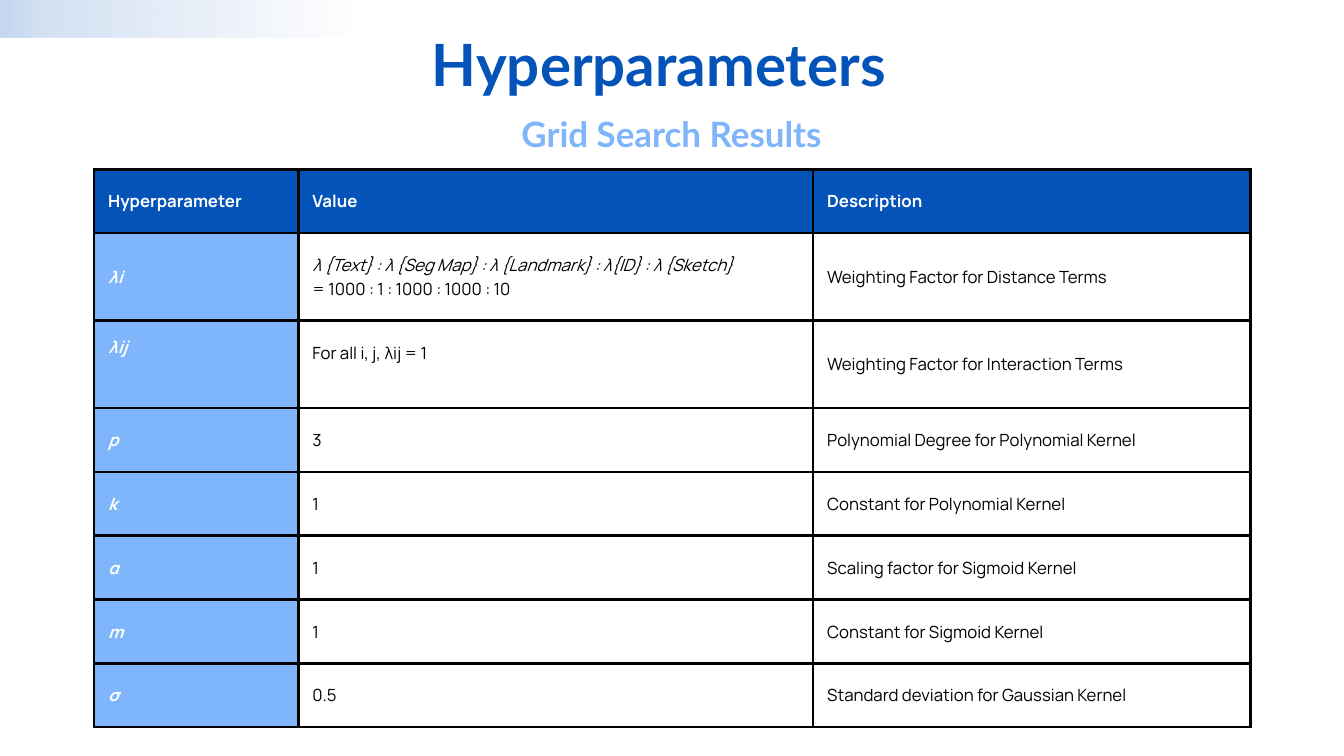
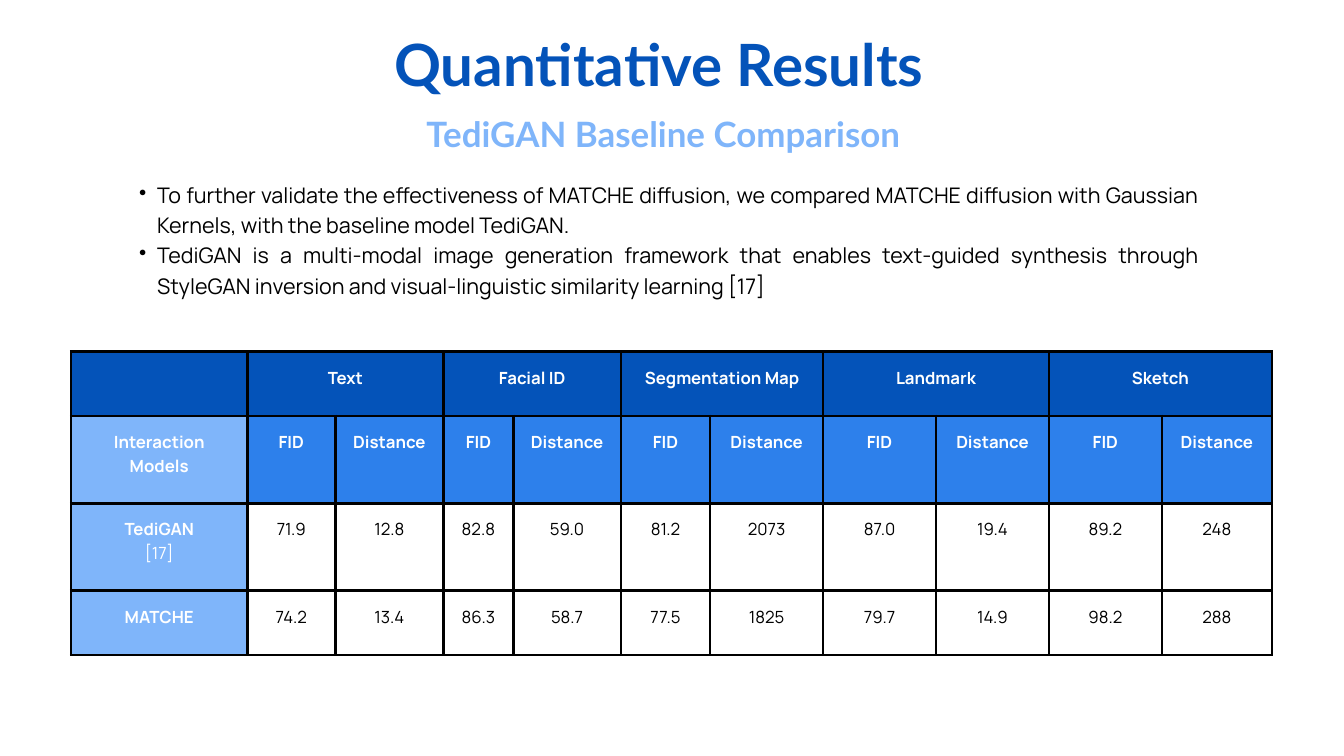
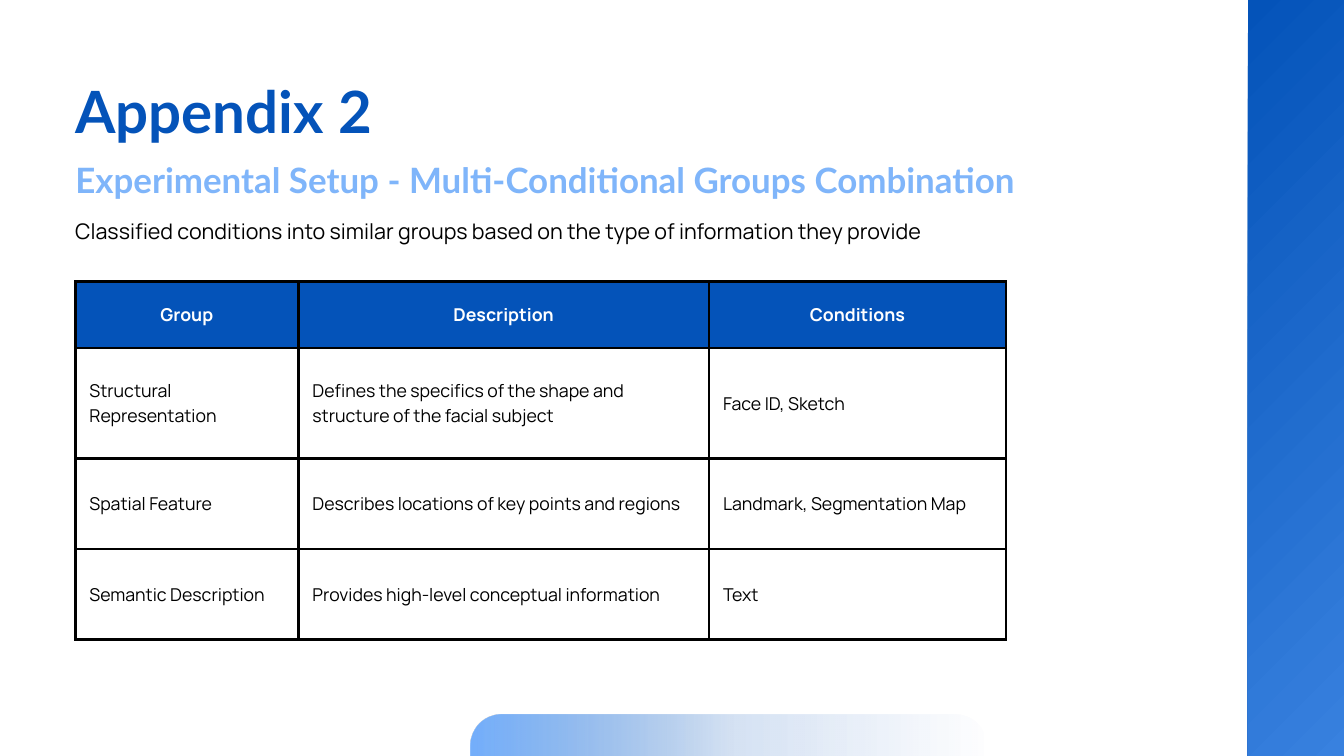
"""Build three slides of tables on hyperparameters, baseline results and condition groups."""
from dataclasses import dataclass

from pptx import Presentation
from pptx.dml.color import RGBColor
from pptx.enum.shapes import MSO_SHAPE as Shape
from pptx.enum.text import MSO_ANCHOR as Anchor, PP_ALIGN as Align
from pptx.oxml import parse_xml
from pptx.oxml.ns import nsdecls, qn
from pptx.util import Inches, Pt


@dataclass(frozen=True)
class Theme:
    primary: str = "0453B9"
    medium: str = "2D80EB"
    soft: str = "7FB5FA"
    white: str = "FFFFFF"
    black: str = "000000"
    heading_font: str = "Lato"
    body_font: str = "Manrope"
    title_size: float = 62.4
    subtitle_size: float = 37.4
    body_size: float = 23
    heading_leading: float = 1.15
    body_leading: float = 1.4
    cell_margin: float = 0.21
    border_width: float = 3


THEME = Theme()
TEXT_STYLES = {
    "title": (THEME.heading_font, THEME.title_size, THEME.primary, True, THEME.heading_leading),
    "subtitle": (THEME.heading_font, THEME.subtitle_size, THEME.soft, True, THEME.heading_leading),
    "body": (THEME.body_font, THEME.body_size, THEME.black, False, THEME.body_leading),
}
CELL_STYLES = {
    "header": (THEME.primary, THEME.white, True),
    "measure": (THEME.medium, THEME.white, True),
    "label": (THEME.soft, THEME.white, True),
    "value": (None, THEME.black, False),
}
HEADER_ROW = ("header", "header")
LABELLED_ROW = ("label", "value")
PLAIN_ROW = ("value", "value")
FADE = [(0, "398DFA", 70), (50, "0151B8", 17), (100, "0151B8", 0)]
SIDEBAR = [(0, THEME.primary, 100), (100, "3881DF", 100)]

SLIDES = [
    {
        "texts": [
            ("title", (3.97, 0.47, 11.67, 1), Align.CENTER, ["Hyperparameters"]),
            ("subtitle", (2.12, 1.7, 15.75, 0.61), Align.CENTER, ["Grid Search Results"]),
        ],
        "bands": [(Shape.ROUNDED_RECTANGLE, (-4.02, 0, 9.3, 0.56), 0.5, FADE, 0)],
        "table": {
            "place": (1.4, 2.52),
            "widths": [3.04, 7.66, 6.51],
            "heights": [0.95, 1.3, 1.3] + [0.95] * 5,
            "size": 18,
            "anchor": Anchor.MIDDLE,
            "aligns": (Align.LEFT, Align.LEFT),
            "styles": [HEADER_ROW] + [LABELLED_ROW] * 7,
            "rows": [
                ["Hyperparameter", "Value", "Description"],
                ["λi",
                 "λ {Text} : λ {Seg Map} : λ {Landmark} : λ{ID} : λ {Sketch}\n"
                 "= 1000 : 1 : 1000 : 1000 : 10",
                 "Weighting Factor for Distance Terms"],
                ["λij", "For all i, j, λij = 1", "Weighting Factor for Interaction Terms"],
                ["p", "3", "Polynomial Degree for Polynomial Kernel"],
                ["k", "1", "Constant for Polynomial Kernel"],
                ["α", "1", "Scaling factor for Sigmoid Kernel"],
                ["m", "1", "Constant for Sigmoid Kernel"],
                ["σ", "0.5", "Standard deviation for Gaussian Kernel"],
            ],
            "line_formats": {(1, 1, 0): {"italic": True},
                             **{(row, 0, 0): {"italic": True} for row in range(1, 8)}},
            "cell_formats": {(2, 0): {"vertical_anchor": Anchor.TOP},
                             (2, 1): {"margin_bottom": Inches(0.56)}},
        },
    },
    {
        "texts": [
            ("title", (3.97, 0.47, 11.67, 1), Align.CENTER, ["Quantitative Results"]),
            ("subtitle", (2, 1.7, 15.75, 0.61), Align.CENTER, ["TediGAN Baseline Comparison"]),
            ("body", (1.8, 2.65, 16.06, 1.75), Align.JUSTIFY, [
                "To further validate the effectiveness of MATCHE diffusion, we compared MATCHE "
                "diffusion with Gaussian Kernels, with the baseline model TediGAN.",
                "TediGAN is a multi-modal image generation framework that enables text-guided "
                "synthesis through StyleGAN inversion and visual-linguistic similarity learning [17]",
            ]),
        ],
        "bands": [],
        "table": {
            "place": (1.06, 5.23),
            "widths": [2.62, 1.31, 1.61, 1.04, 1.6, 1.33, 1.68, 1.68, 1.68, 1.68, 1.64],
            "heights": [0.96, 1.3, 1.3, 0.96],
            "size": 18,
            "anchor": Anchor.TOP,
            "aligns": (Align.CENTER, Align.CENTER),
            "styles": [HEADER_ROW, ("label", "measure"), LABELLED_ROW, LABELLED_ROW],
            "rows": [
                ["", "Text", "", "Facial ID", "", "Segmentation Map", "", "Landmark", "",
                 "Sketch", ""],
                ["Interaction Models"] + ["FID", "Distance"] * 5,
                ["TediGAN\n[17]", "71.9", "12.8", "82.8", "59.0", "81.2", "2073", "87.0",
                 "19.4", "89.2", "248"],
                ["MATCHE", "74.2", "13.4", "86.3", "58.7", "77.5", "1825", "79.7", "14.9",
                 "98.2", "288"],
            ],
            "merged_pairs": range(1, 11, 2),
            "line_formats": {(2, 0, 1): {"bold": False}},
        },
    },
    {
        "texts": [
            ("title", (1.12, 1.16, 11.67, 1), Align.LEFT, ["Appendix 2"]),
            ("subtitle", (1.12, 2.39, 15.75, 0.61), Align.LEFT,
             ["Experimental Setup - Multi-Conditional Groups Combination"]),
            ("body", (1.12, 3.18, 13.84, 0.44), Align.LEFT,
             ["Classified conditions into similar groups based on the type of information "
              "they provide"]),
        ],
        "bands": [
            (Shape.RECTANGLE, (18.57, 0, 1.49, 11.25), None, SIDEBAR, 45),
            (Shape.ROUNDED_RECTANGLE, (7, 10.63, 7.68, 1.18), 0.39, FADE, 0),
        ],
        "table": {
            "place": (1.12, 4.19),
            "widths": [3.32, 6.11, 4.42],
            "heights": [0.99, 1.64, 1.35, 1.35],
            "size": 19,
            "anchor": Anchor.MIDDLE,
            "aligns": (Align.CENTER, Align.LEFT),
            "styles": [HEADER_ROW] + [PLAIN_ROW] * 3,
            "rows": [
                ["Group", "Description", "Conditions"],
                ["Structural Representation",
                 "Defines the specifics of the shape and structure of the facial subject",
                 "Face ID, Sketch"],
                ["Spatial Feature", "Describes locations of key points and regions",
                 "Landmark, Segmentation Map"],
                ["Semantic Description", "Provides high-level conceptual information", "Text"],
            ],
        },
    },
]


def apply(target, formats):
    for name, value in formats.items():
        setattr(target, name, value)


def write_line(para, text, align, leading, color, formats):
    apply(para, {"alignment": align, "line_spacing": Pt(formats["size"].pt * leading)})
    span = para.add_run()
    span.text = text
    apply(span.font, formats)
    span.font.color.rgb = RGBColor.from_string(color)


def paragraphs(frame, lines):
    for index, line in enumerate(lines):
        yield index, (frame.add_paragraph() if index else frame.paragraphs[0]), line


def add_bullet(para):
    properties = para._p.get_or_add_pPr()
    properties.set("marL", str(Inches(0.54)))
    properties.set("indent", str(Inches(-0.27)))
    properties.append(parse_xml(f'<a:buChar {nsdecls("a")} char="•"/>'))


def add_text(page, style, place, align, lines):
    font, size, color, bold, leading = TEXT_STYLES[style]
    frame = page.shapes.add_textbox(*map(Inches, place)).text_frame
    apply(frame, {"word_wrap": True, "margin_left": 0, "margin_top": 0,
                  "margin_right": 0, "margin_bottom": 0})
    for _, para, line in paragraphs(frame, lines):
        if len(lines) > 1:
            add_bullet(para)
        write_line(para, line, align, leading, color,
                   {"name": font, "size": Pt(size), "bold": bold})


def add_band(page, kind, place, corner, stops, angle):
    band = page.shapes.add_shape(kind, *map(Inches, place))
    if corner is not None:
        band.adjustments[0] = corner
    band.shadow.inherit = False
    band.line.fill.background()
    band.fill.background()
    marks = "".join(
        f'<a:gs pos="{position * 1000}"><a:srgbClr val="{color}">'
        f'<a:alpha val="{opacity * 1000}"/></a:srgbClr></a:gs>'
        for position, color, opacity in stops)
    gradient = parse_xml(
        f'<a:gradFill {nsdecls("a")} rotWithShape="1"><a:gsLst>{marks}</a:gsLst>'
        f'<a:lin ang="{angle * 60000}" scaled="0"/></a:gradFill>')
    properties = band._element.spPr
    properties.replace(properties.find(qn("a:noFill")), gradient)


def add_borders(cell):
    properties = cell._tc.get_or_add_tcPr()
    for side in ("lnL", "lnR", "lnT", "lnB"):
        properties.append(parse_xml(
            f'<a:{side} {nsdecls("a")} w="{Pt(THEME.border_width)}"><a:solidFill>'
            f'<a:srgbClr val="{THEME.black}"/></a:solidFill></a:{side}>'))


def fill_cell(cell, position, text, table):
    row, column = position
    fill, color, bold = CELL_STYLES[table["styles"][row][column > 0]]
    margin = Inches(THEME.cell_margin)
    apply(cell, {"vertical_anchor": table["anchor"], "margin_left": margin,
                 "margin_top": margin, "margin_right": margin, "margin_bottom": margin,
                 **table.get("cell_formats", {}).get(position, {})})
    add_borders(cell)
    if fill:
        cell.fill.solid()
        cell.fill.fore_color.rgb = RGBColor.from_string(fill)
    else:
        cell.fill.background()
    if not text:
        return
    for index, para, line in paragraphs(cell.text_frame, text.split("\n")):
        formats = {"name": THEME.body_font, "size": Pt(table["size"]), "bold": bold,
                   **table.get("line_formats", {}).get((row, column, index), {})}
        write_line(para, line, table["aligns"][row > 0], THEME.body_leading, color, formats)


def add_grid(page, table):
    widths, heights = table["widths"], table["heights"]
    extent = (*table["place"], sum(widths), sum(heights))
    grid = page.shapes.add_table(len(heights), len(widths), *map(Inches, extent)).table
    apply(grid, {"first_row": False, "horz_banding": False})
    for column, width in zip(grid.columns, widths):
        column.width = Inches(width)
    for row, height in zip(grid.rows, heights):
        row.height = Inches(height)
    for row, texts in enumerate(table["rows"]):
        for column, text in enumerate(texts):
            fill_cell(grid.cell(row, column), (row, column), text, table)
    for column in table.get("merged_pairs", ()):
        grid.cell(0, column).merge(grid.cell(0, column + 1))


def main():
    deck = Presentation()
    apply(deck, {"slide_width": Inches(20), "slide_height": Inches(11.25)})
    for content in SLIDES:
        page = deck.slides.add_slide(deck.slide_layouts[6])
        for text in content["texts"]:
            add_text(page, *text)
        for band in content["bands"]:
            add_band(page, *band)
        add_grid(page, content["table"])
    deck.save("out.pptx")


if __name__ == "__main__":
    main()
